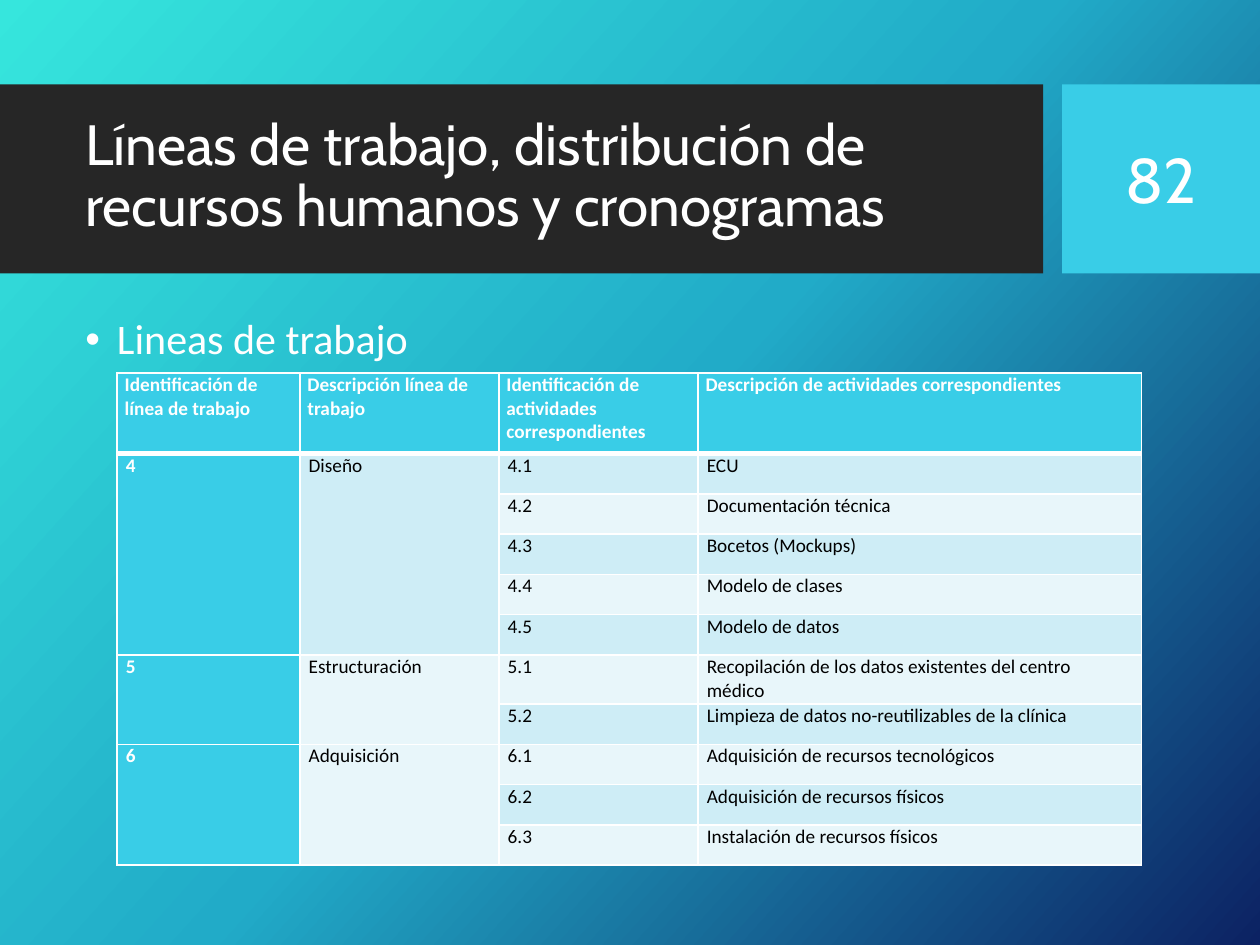
from copy import deepcopy
from dataclasses import dataclass

from lxml.etree import SubElement
from pptx import Presentation
from pptx.dml.color import RGBColor
from pptx.enum.shapes import MSO_SHAPE
from pptx.enum.text import MSO_ANCHOR, PP_ALIGN
from pptx.oxml.ns import qn
from pptx.util import Inches, Pt


@dataclass(frozen=True)
class Theme:
    gradient: tuple = ((0, "36E6DD"), (0.5, "21ABC8"), (1, "0C2263"))
    gradient_angle: int = 318
    dark: str = "262626"
    accent: str = "39CDE7"
    bands: tuple = ("E8F6FA", "CEEDF6")
    white: str = "FFFFFF"
    black: str = "000000"
    heading_font: str = "Cabin"
    body_font: str = "Calibri"
    title_size: float = 32.4
    number_size: int = 36
    body_size: int = 24
    table_size: int = 11


HEADERS = (
    "Identificación de línea de trabajo",
    "Descripción línea de trabajo",
    "Identificación de actividades correspondientes",
    "Descripción de actividades correspondientes",
)
WORK_LINES = (
    (4, "Diseño", ("ECU", "Documentación técnica", "Bocetos (Mockups)",
                   "Modelo de clases", "Modelo de datos")),
    (5, "Estructuración", ("Recopilación de los datos existentes del centro médico",
                           "Limpieza de datos no-reutilizables de la clínica")),
    (6, "Adquisición", ("Adquisición de recursos tecnológicos",
                        "Adquisición de recursos físicos",
                        "Instalación de recursos físicos")),
)
COLUMN_WIDTHS = (1.45, 1.58, 1.58, 3.52)
ROW_HEIGHTS = (0.64,) + (0.32,) * 5 + (0.39,) + (0.32,) * 4


class SlideBuilder:
    """Draws styled elements on the current slide."""

    def __init__(self, page, theme):
        self.page = page
        self.theme = theme

    def background(self):
        fill = self.page.background.fill
        fill.gradient()
        fill.gradient_angle = self.theme.gradient_angle
        stop_list = self.page.background._cSld.find(f".//{qn('a:gsLst')}")
        stop_list.append(deepcopy(stop_list[-1]))
        for stop, (position, color) in zip(fill.gradient_stops, self.theme.gradient):
            stop.position = position
            stop.color.rgb = RGBColor.from_string(color)

    def panel(self, left, top, width, height, color):
        shape = self.page.shapes.add_shape(
            MSO_SHAPE.RECTANGLE, *map(Inches, (left, top, width, height)))
        shape.shadow.inherit = False
        shape.fill.solid()
        shape.fill.fore_color.rgb = RGBColor.from_string(color)
        shape.line.fill.background()

    def add_span(self, para, text, color, **formats):
        span = para.add_run()
        span.text = text
        span.font.color.rgb = RGBColor.from_string(color)
        for name, value in formats.items():
            setattr(span.font, name, value)

    def text(self, left, top, width, height, text, font, size,
             anchor=MSO_ANCHOR.MIDDLE, bullet=False, **paragraph_formats):
        box = self.page.shapes.add_textbox(*map(Inches, (left, top, width, height)))
        frame = box.text_frame
        frame.word_wrap = True
        frame.vertical_anchor = anchor
        para = frame.paragraphs[0]
        for name, value in paragraph_formats.items():
            setattr(para, name, value)
        if bullet:
            properties = para._p.get_or_add_pPr()
            properties.set("marL", str(Inches(0.25)))
            properties.set("indent", str(Inches(-0.25)))
            SubElement(properties, qn("a:buFont"), typeface="Arial")
            SubElement(properties, qn("a:buChar"), char="•")
        self.add_span(para, text, self.theme.white, name=font, size=Pt(size))

    def borders(self, cell, is_header):
        properties = cell._tc.get_or_add_tcPr()
        for side in ("L", "R", "T", "B"):
            points = 3 if is_header and side == "B" else 1
            line = SubElement(properties, qn(f"a:ln{side}"), w=str(Pt(points)))
            solid = SubElement(line, qn("a:solidFill"))
            SubElement(solid, qn("a:srgbClr"), val=self.theme.white)

    def cell(self, cell, text, row, column):
        is_header = row == 0
        strong = is_header or column == 0
        side = Inches(0.06 if is_header else 0.07)
        formats = {"margin_left": side, "margin_right": side,
                   "margin_top": 0, "margin_bottom": 0}
        for name, value in formats.items():
            setattr(cell, name, value)
        self.borders(cell, is_header)
        cell.fill.solid()
        cell.fill.fore_color.rgb = RGBColor.from_string(
            self.theme.accent if strong else self.theme.bands[row % 2])
        if text:
            self.add_span(cell.text_frame.paragraphs[0], text,
                          self.theme.white if strong else self.theme.black,
                          name=self.theme.body_font, size=Pt(self.theme.table_size),
                          bold=strong)

    def table(self, left, top, headers, work_lines):
        rows = [headers]
        merges = []
        for number, name, activities in work_lines:
            merges.append((len(rows), len(rows) + len(activities) - 1))
            for index, activity in enumerate(activities, 1):
                lead = (str(number), name) if index == 1 else ("", "")
                rows.append((*lead, f"{number}.{index}", activity))
        size = (sum(COLUMN_WIDTHS), sum(ROW_HEIGHTS))
        table = self.page.shapes.add_table(
            len(rows), len(headers), *map(Inches, (left, top, *size))).table
        for column, width in zip(table.columns, COLUMN_WIDTHS):
            column.width = Inches(width)
        for row, height in zip(table.rows, ROW_HEIGHTS):
            row.height = Inches(height)
        for row, values in enumerate(rows):
            for column, value in enumerate(values):
                self.cell(table.cell(row, column), value, row, column)
        for first, last in merges:
            for column in (0, 1):
                table.cell(first, column).merge(table.cell(last, column))


def main():
    deck = Presentation()
    deck.slide_width, deck.slide_height = Inches(10), Inches(7.5)
    theme = Theme()
    builder = SlideBuilder(deck.slides.add_slide(deck.slide_layouts[6]), theme)
    builder.background()
    builder.panel(0, 0.67, 8.28, 1.5, theme.dark)
    builder.panel(8.43, 0.67, 1.57, 1.5, theme.accent)
    builder.text(0.58, 0.82, 7.54, 1.18,
                 "Líneas de trabajo, distribución de recursos humanos y cronogramas",
                 theme.heading_font, theme.title_size, line_spacing=0.9)
    builder.text(8.58, 0.82, 1.27, 1.19, "82", theme.heading_font,
                 theme.number_size, alignment=PP_ALIGN.CENTER)
    builder.text(0.58, 2.48, 7.75, 4.81, "Lineas de trabajo", theme.body_font,
                 theme.body_size, anchor=MSO_ANCHOR.TOP, bullet=True, line_spacing=0.9)
    builder.table(0.93, 2.96, HEADERS, WORK_LINES)
    deck.save("out.pptx")


if __name__ == "__main__":
    main()
